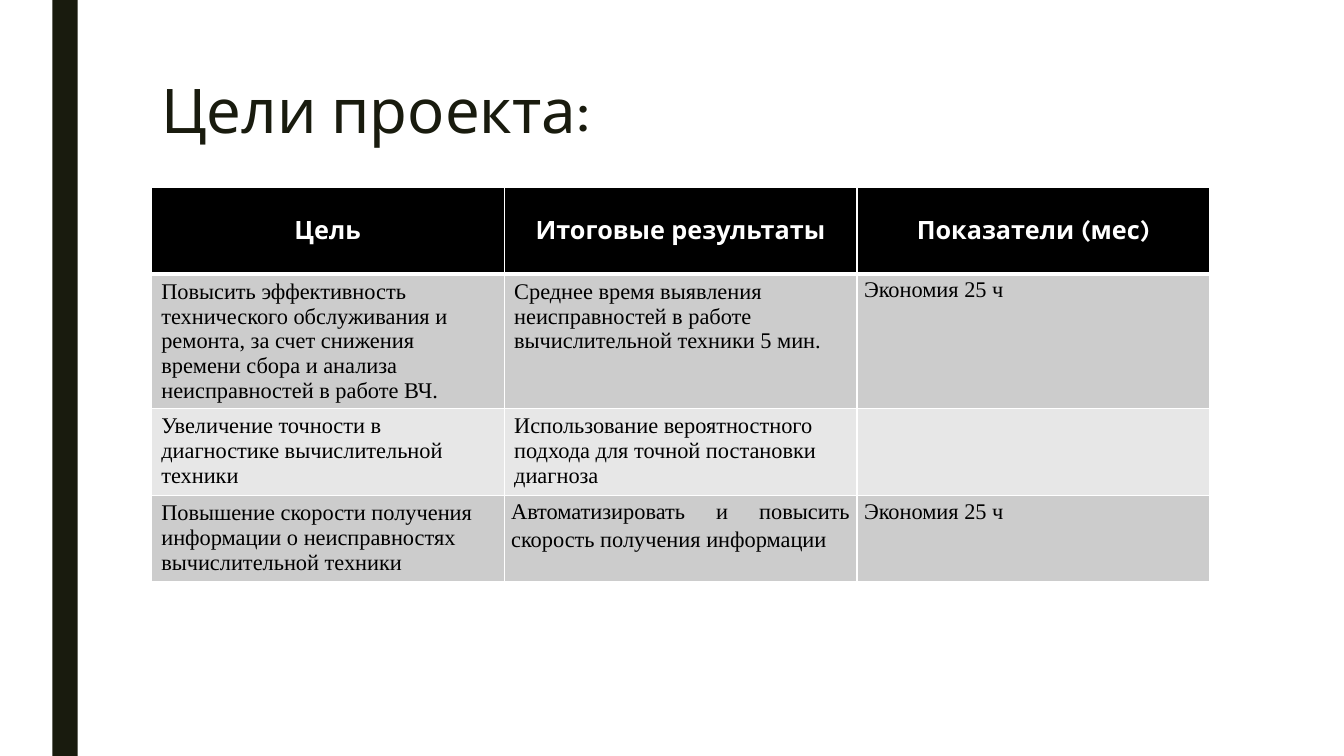
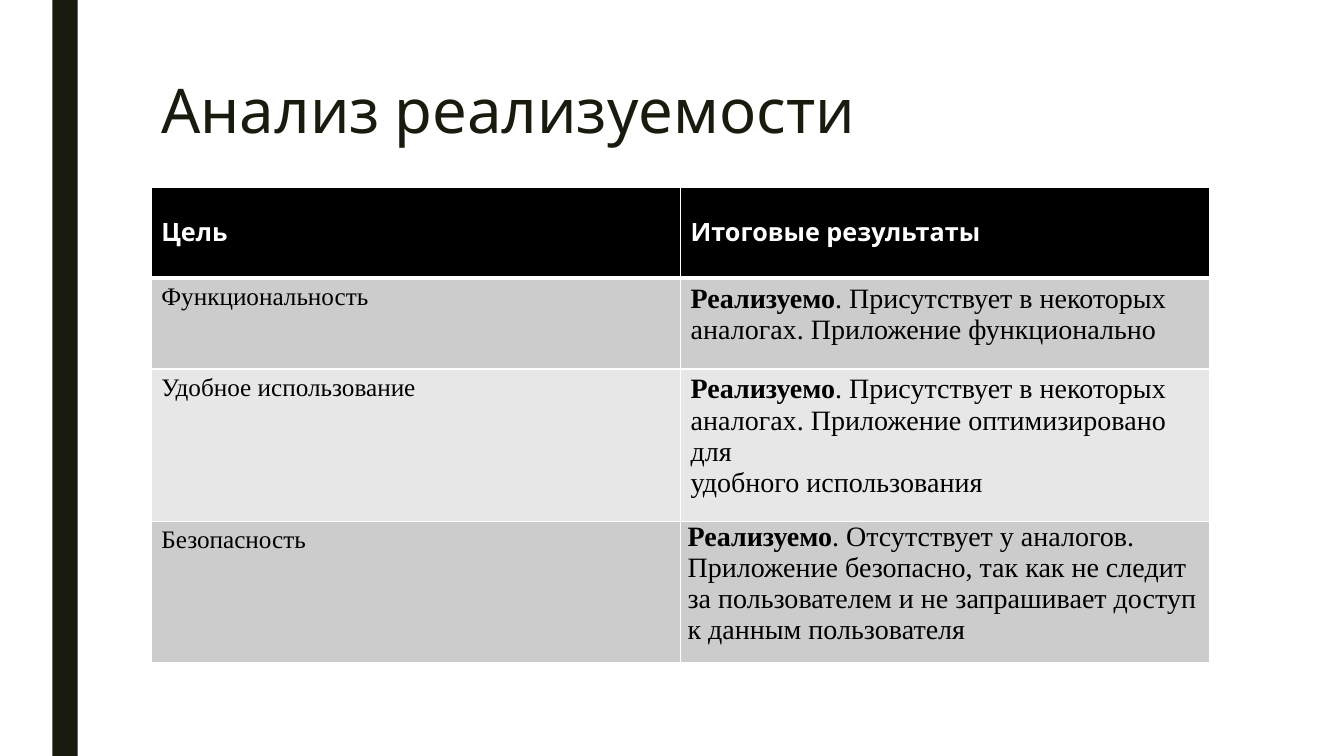
"""Build two slides of project goals and feasibility as tables."""
import dataclasses
import typing

import lxml.etree
import pptx
import pptx.dml.color
import pptx.enum.shapes
import pptx.enum.text
import pptx.oxml.ns
import pptx.util

ALIGN = pptx.enum.text.PP_ALIGN
ANCHOR = pptx.enum.text.MSO_ANCHOR
INK, BLACK, WHITE = "191B0E", "000000", "FFFFFF"
BANDS = ("CCCCCC", "E7E7E7")
HEAD, BODY = "Karla", "Times New Roman"
STEP = 0.25
LEFT, WIDE, TOP = 6, 42, 7.44


@dataclasses.dataclass(frozen=True)
class Cell:
    """Hold the words and format of one body cell."""
    text: str = ""
    lead: str = ""
    size: int = 16
    tight: bool = False
    just: bool = False


@dataclasses.dataclass(frozen=True)
class Page:
    """Hold one slide's title and table, heights in grid steps."""
    title: str
    heads: tuple[str, ...]
    align: ALIGN
    highs: tuple[float, ...]
    rows: tuple[tuple[Cell, ...], ...]


SAVED = Cell("Экономия 25 ч", tight=True, just=True)
DONE = "Реализуемо"
PAGES = (
    Page(
        "Цели проекта:", ("Цель", "Итоговые результаты", "Показатели (мес)"),
        ALIGN.CENTER, (3.44, 5.32, 3.44, 3.44),
        (
            (Cell("Повысить эффективность технического обслуживания и ремонта, "
                  "за счет снижения времени сбора и анализа неисправностей в работе ВЧ."),
             Cell("Среднее время выявления неисправностей в работе "
                  "вычислительной техники 5 мин."), SAVED),
            (Cell("Увеличение точности в диагностике вычислительной техники"),
             Cell("Использование вероятностного подхода для точной постановки диагноза"),
             Cell()),
            (Cell("Повышение скорости получения информации о неисправностях "
                  "вычислительной техники"),
             Cell("Автоматизировать и повысить скорость получения информации",
                  tight=True, just=True), SAVED),
        ),
    ),
    Page(
        "Анализ реализуемости", ("Цель", "Итоговые результаты"),
        ALIGN.LEFT, (3.6, 3.6, 6.04, 5.6),
        (
            (Cell("Функциональность", size=18),
             Cell(". Присутствует в некоторых\nаналогах. Приложение функционально",
                  DONE, 20)),
            (Cell("Удобное использование", size=18),
             Cell(". Присутствует в некоторых\nаналогах. Приложение оптимизировано для\n"
                  "удобного использования", DONE, 20)),
            (Cell("Безопасность", size=18),
             Cell(". Отсутствует у аналогов.\nПриложение безопасно, так как не следит "
                  "за пользователем и не запрашивает доступ к данным пользователя",
                  DONE, 20, tight=True)),
        ),
    ),
)


def grid(count: float) -> pptx.util.Length:
    """Turn grid steps into a length."""
    return pptx.util.Inches(count * STEP)


def paint(fill: pptx.dml.fill.FillFormat, tint: str) -> None:
    """Fill with one solid colour."""
    fill.solid()
    fill.fore_color.rgb = pptx.dml.color.RGBColor.from_string(tint)


def write(frame: typing.Any, text: str, *, lead: str = "", font: str = BODY,
          size: float = 16, tint: str = BLACK, bold: bool = False,
          align: ALIGN = ALIGN.LEFT, space: float = 1.0) -> None:
    """Write lines of text, the first with an optional bold lead."""
    for spot, line in enumerate(text.split("\n")):
        para = frame.add_paragraph() if spot else frame.paragraphs[0]
        para.alignment, para.line_spacing = align, space
        parts = [(line, bold)]
        if lead and not spot:
            parts.insert(0, (lead, True))
        for words, heavy in parts:
            run = para.add_run()
            run.text = words
            run.font.name, run.font.size = font, pptx.util.Pt(size)
            run.font.bold = heavy
            paint(run.font.fill, tint)


def edge(cell: typing.Any, **sides: float) -> None:
    """Draw white cell borders, widths in points by side."""
    props = cell._tc.get_or_add_tcPr()
    for spot, (side, width) in enumerate(sides.items()):
        line = lxml.etree.Element(pptx.oxml.ns.qn(f"a:ln{side}"),
                                  w=str(pptx.util.Pt(width)))
        fill = lxml.etree.SubElement(line, pptx.oxml.ns.qn("a:solidFill"))
        lxml.etree.SubElement(fill, pptx.oxml.ns.qn("a:srgbClr"), val=WHITE)
        props.insert(spot, line)


def fill_head(cell: typing.Any, text: str, align: ALIGN) -> None:
    """Format one header cell."""
    paint(cell.fill, BLACK)
    edge(cell, L=1, R=1, T=1, B=3)
    cell.vertical_anchor = ANCHOR.MIDDLE
    write(cell.text_frame, text, font=HEAD, size=18, tint=WHITE, bold=True, align=align)


def fill_body(cell: typing.Any, data: Cell, row: int) -> None:
    """Format one body cell."""
    paint(cell.fill, BANDS[(row - 1) % 2])
    edge(cell, L=1, R=1, T=3 if row == 1 else 1, B=1)
    if data.tight:
        cell.margin_left = cell.margin_right = pptx.util.Inches(0.07)
        cell.margin_top = cell.margin_bottom = 0
    if data.text:
        write(cell.text_frame, data.text, lead=data.lead, size=data.size,
              align=ALIGN.JUSTIFY if data.just else ALIGN.LEFT,
              space=1.15 if data.just else 1.0)


def add_grid(slide: typing.Any, page: Page) -> None:
    """Add the page's table."""
    count = len(page.heads)
    table = slide.shapes.add_table(len(page.highs), count, grid(LEFT), grid(TOP),
                                   grid(WIDE), grid(sum(page.highs))).table
    for col in table.columns:
        col.width = grid(WIDE / count)
    for row, high in zip(table.rows, page.highs):
        row.height = grid(high)
    for col, text in enumerate(page.heads):
        fill_head(table.cell(0, col), text, page.align)
    for row, cells in enumerate(page.rows, 1):
        for col, data in enumerate(cells):
            fill_body(table.cell(row, col), data, row)


def set_base(layout: typing.Any, slide: typing.Any) -> None:
    """Give the shared layout its side bar and title place."""
    bar = slide.shapes.add_shape(pptx.enum.shapes.MSO_SHAPE.RECTANGLE,
                                 grid(2.08), 0, grid(1), grid(30))
    bar.shadow.inherit = False
    paint(bar.fill, INK)
    bar.line.fill.background()
    layout.shapes.element.append(bar.element)
    title = layout.placeholders[0]
    title.left, title.top = grid(LEFT), grid(3)
    title.width, title.height = grid(WIDE), grid(6.48)
    title.text_frame.vertical_anchor = ANCHOR.TOP


def main() -> None:
    """Build and save the deck."""
    deck = pptx.Presentation()
    deck.slide_width, deck.slide_height = pptx.util.Inches(13.33), grid(30)
    layout = deck.slide_layouts[5]
    for spot, page in enumerate(PAGES):
        slide = deck.slides.add_slide(layout)
        if not spot:
            set_base(layout, slide)
        write(slide.shapes.title.text_frame, page.title, font=HEAD, size=44,
              tint=INK, space=0.89)
        add_grid(slide, page)
    deck.save("out.pptx")


if __name__ == "__main__":
    main()
